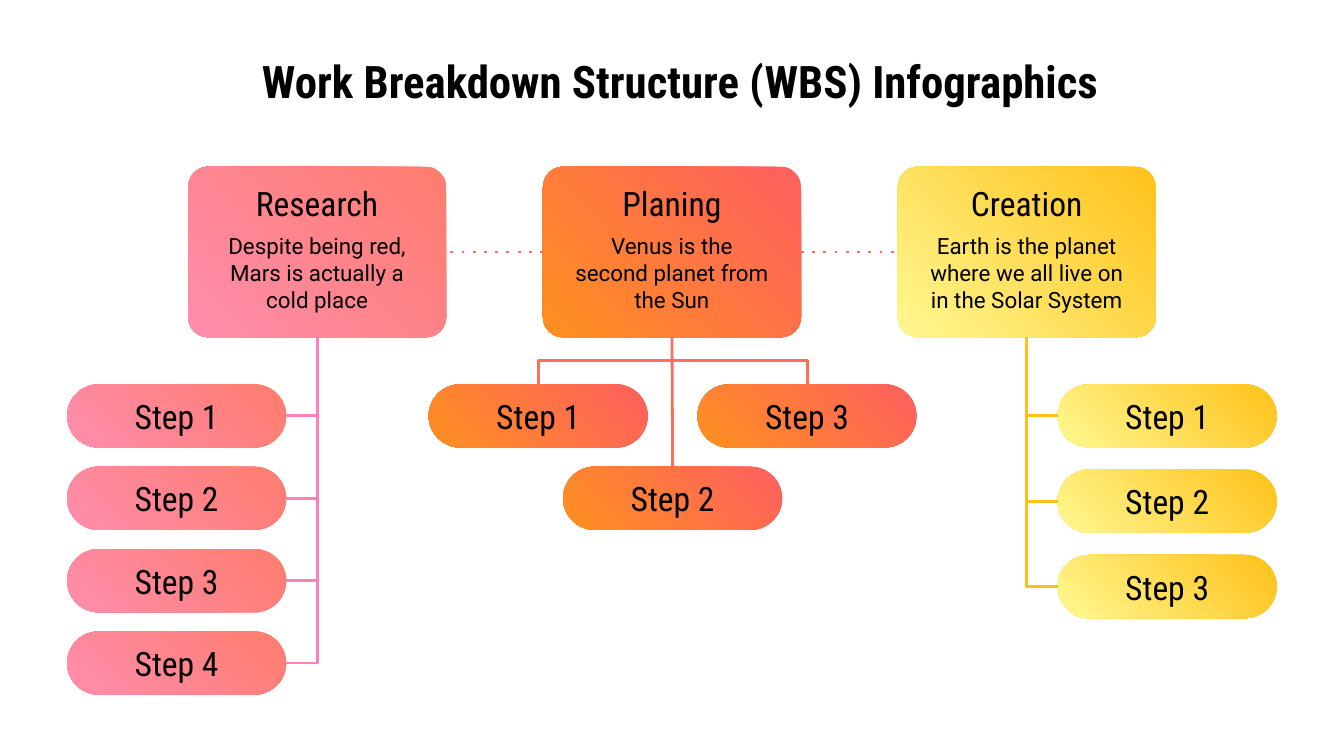
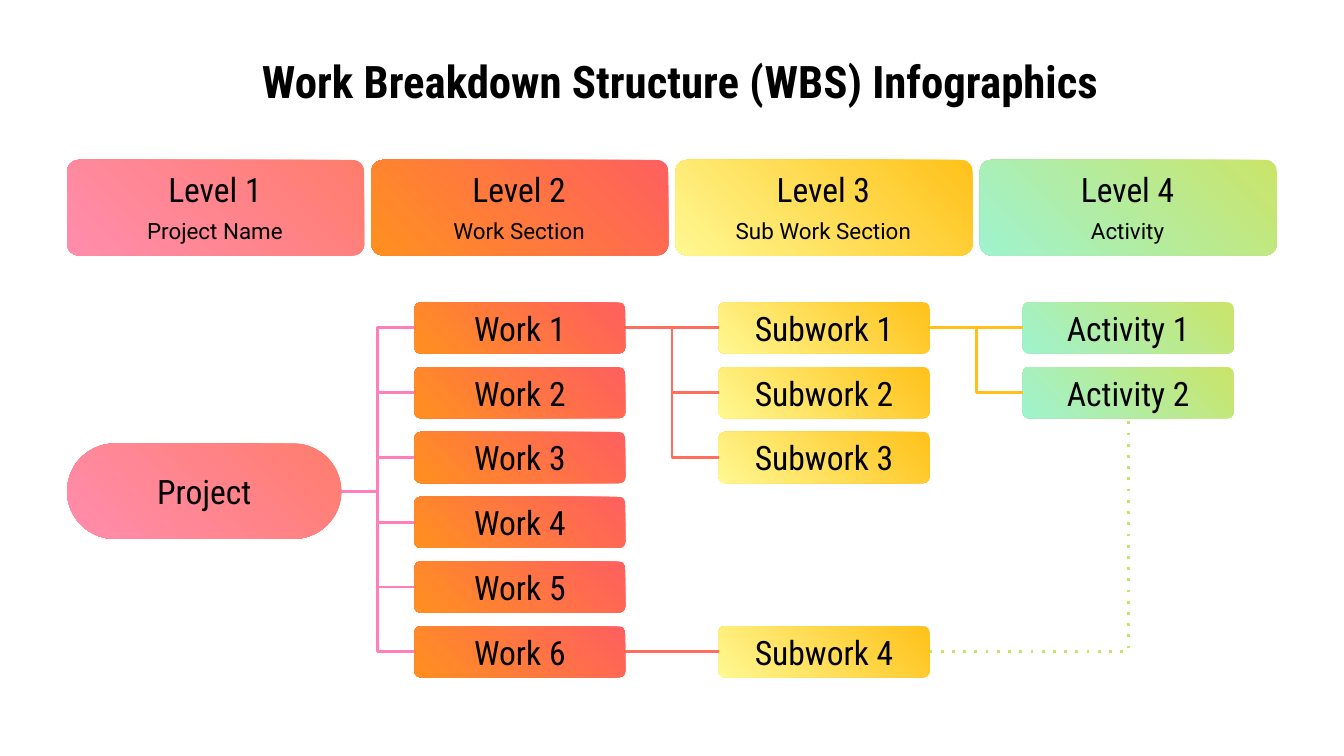
from pptx import Presentation
from pptx import util as u
from pptx.dml.color import RGBColor
from pptx.enum import dml, shapes, text
from pptx.oxml.ns import qn
from pptx.oxml import parse_xml

# Shared look: gradient ends run from top right to bottom left
FILLS = {
    "pink": ("FF7C6D", "FF8DAD"),
    "orange": ("FF5F5F", "FF9020"),
    "yellow": ("FFC119", "FFF892"),
    "green": ("CBE469", "9FF3CF"),
}
LINES = {"pink": "FF80B9", "orange": "FF6D5D", "yellow": "FFC119", "green": "C2E469"}
BLACK = RGBColor.from_string("000000")
HEAD, BODY = "Roboto Condensed", "Roboto"
TITLE = "Work Breakdown Structure (WBS) Infographics"
ROUND, PILL = 0.119, 0.5
TOP, MIDDLE = text.MSO_ANCHOR.TOP, text.MSO_ANCHOR.MIDDLE
TOP_SIDE, LEFT, BOTTOM, RIGHT = range(4)


def block(s, x, y, w, h, words="", fill=None, adj=ROUND, size=18, anchor=MIDDLE):
    """Add a gradient box, or a plain text box when no fill is named."""
    box = [u.Inches(v) for v in (x, y, w, h)]
    if fill:
        sp = s.shapes.add_shape(shapes.MSO_SHAPE.ROUNDED_RECTANGLE, *box)
        sp.adjustments[0] = adj
        sp.shadow.inherit = False
        sp.line.fill.background()
        sp.fill.gradient()
        sp.fill.gradient_angle = 225
        for stop, colour in zip(sp.fill.gradient_stops, FILLS[fill]):
            stop.color.rgb = RGBColor.from_string(colour)
    else:
        sp = s.shapes.add_textbox(*box)
    if words:
        tf = sp.text_frame
        tf.word_wrap = True
        tf.vertical_anchor = anchor
        tf.margin_left = tf.margin_right = tf.margin_top = tf.margin_bottom = u.Inches(0.1)
        p = tf.paragraphs[0]
        p.text = words
        p.alignment = text.PP_ALIGN.CENTER
        p.font.size, p.font.name = u.Pt(size), HEAD if size > 12 else BODY
        p.font.color.rgb = BLACK
    return sp


def link(s, a, side_a, b, side_b, colour, bend=None, dotted=False):
    """Join two boxes; bend is None, "bentConnector2", "bentConnector3" or "drop"."""
    kind = shapes.MSO_CONNECTOR.ELBOW if bend else shapes.MSO_CONNECTOR.STRAIGHT
    c = s.shapes.add_connector(kind, 0, 0, 0, 0)
    c.begin_connect(a, side_a)
    c.end_connect(b, side_b)
    spPr = c._element.spPr
    if bend == "bentConnector2":
        spPr.find(qn("a:prstGeom")).set("prst", bend)
    elif bend == "drop":  # leaves downwards: a quarter turn about the centre
        leftward = c.end_x < c.begin_x
        x, y, w, h = c.left, c.top, c.width, c.height
        c.left, c.top = x + (w - h) // 2, y + (h - w) // 2
        c.width, c.height = h, w
        xfrm = spPr.find(qn("a:xfrm"))
        xfrm.set("rot", "5400000" if leftward else "16200000")
        xfrm.set("flipH", "0" if leftward else "1")
        xfrm.set("flipV", "0")
    c.line.width = u.Pt(1.5)
    c.line.color.rgb = RGBColor.from_string(LINES[colour])
    if dotted:
        c.line.dash_style = dml.MSO_LINE.ROUND_DOT
        next(spPr.iter(qn("a:prstDash"))).set("val", "dot")
    spPr.append(parse_xml(
        '<a:effectLst xmlns:a="http://schemas.openxmlformats.org/drawingml/2006/main"/>'))


prs = Presentation()
prs.slide_width, prs.slide_height = u.Inches(10), u.Inches(5.625)

# Both slides carry the same title
for _ in range(2):
    s = prs.slides.add_slide(prs.slide_layouts[5])
    sp = s.shapes.title
    sp.left, sp.top, sp.width, sp.height = [u.Inches(v) for v in (0.4, 0.3, 9.32, 0.63)]
    tf = sp.text_frame
    tf.auto_size = text.MSO_AUTO_SIZE.NONE
    tf.vertical_anchor = TOP
    tf.margin_left = tf.margin_right = tf.margin_top = tf.margin_bottom = u.Inches(0.1)
    p = tf.paragraphs[0]
    p.text = TITLE
    p.alignment = text.PP_ALIGN.CENTER
    p.font.size, p.font.name, p.font.bold = u.Pt(24), HEAD, True
    p.font.color.rgb = BLACK
stages_slide, levels_slide = prs.slides

# Slide 1: three stages; steps as first x, x pitch, y pitch, rows
s = stages_slide
STAGES = [
    ("Research", "Despite being red, Mars is actually a cold place",
     "pink", 0.5, 0, 0.613, (0, 1, 2, 3)),
    ("Planing", "Venus is the second planet from the Sun",
     "orange", 3.19, 1, 0.613, (0, 1, 0)),
    ("Creation", "Earth is the planet where we all live on in the Solar System",
     "yellow", 7.87, 0, 0.635, (0, 1, 2)),
]
cards = []
for i, (head, body, colour, step_x, dx, dy, rows) in enumerate(STAGES):
    x = 1.4 + 2.64 * i
    card = block(s, x, 1.24, 1.92, 1.27, fill=colour)
    block(s, x + 0.13, 1.26, 1.66, 0.44, head, anchor=TOP)
    block(s, x + 0.13, 1.63, 1.66, 0.78, body, size=12, anchor=TOP)
    cards.append(card)
    for n, row in enumerate(rows):
        step = block(s, step_x + dx * n, 2.86 + dy * row, 1.63, 0.47,
                     f"Step {n + 1}", colour, PILL)
        if colour == "orange":
            link(s, card, BOTTOM, step, TOP_SIDE, colour, None if n == 1 else "drop")
        else:
            side = RIGHT if colour == "pink" else LEFT
            link(s, step, side, card, BOTTOM, colour, "bentConnector2")
research, planning, creation = cards
link(s, planning, LEFT, research, RIGHT, "orange", dotted=True)
link(s, planning, RIGHT, creation, LEFT, "orange", dotted=True)

# Slide 2: four level columns, with nodes on six rows below
s = levels_slide
LEVELS = [
    ("Project Name", "pink", "", ()),
    ("Work Section", "orange", "Work", range(6)),
    ("Sub Work Section", "yellow", "Subwork", (0, 1, 2, 5)),
    ("Activity", "green", "Activity", (0, 1)),
]
COL_W = 2.21
COL_PITCH = (9 - COL_W) / 3
ROW_PITCH = (4.66 - 2.25) / 5
columns = []
for i, (caption, colour, word, rows) in enumerate(LEVELS):
    x = 0.5 + COL_PITCH * i
    block(s, x, 1.19, COL_W, 0.71, fill=colour)
    block(s, x + 0.23, 1.23, 1.74, 0.35, f"Level {i + 1}")
    block(s, x + 0.23, 1.58, 1.74, 0.27, caption, size=12)
    columns.append([
        block(s, x + 0.32, 2.25 + ROW_PITCH * row, 1.57, 0.38, f"{word} {n}", colour)
        for n, row in enumerate(rows, 1)])
project = block(s, 0.5, 3.3, 2.04, 0.71, "Project", "pink", PILL)
_, works, subworks, activities = columns

# Links between the levels
for work in works:
    link(s, project, RIGHT, work, LEFT, "pink", "bentConnector3")
for parent, children, colour in ((works[0], subworks[:3], "orange"),
                                 (subworks[0], activities, "yellow")):
    link(s, parent, RIGHT, children[0], LEFT, colour)
    for child in children[1:]:
        link(s, parent, RIGHT, child, LEFT, colour, "bentConnector3")
link(s, works[5], RIGHT, subworks[3], LEFT, "orange")
link(s, subworks[3], RIGHT, activities[1], BOTTOM, "green", "bentConnector2", dotted=True)

prs.save("out.pptx")
